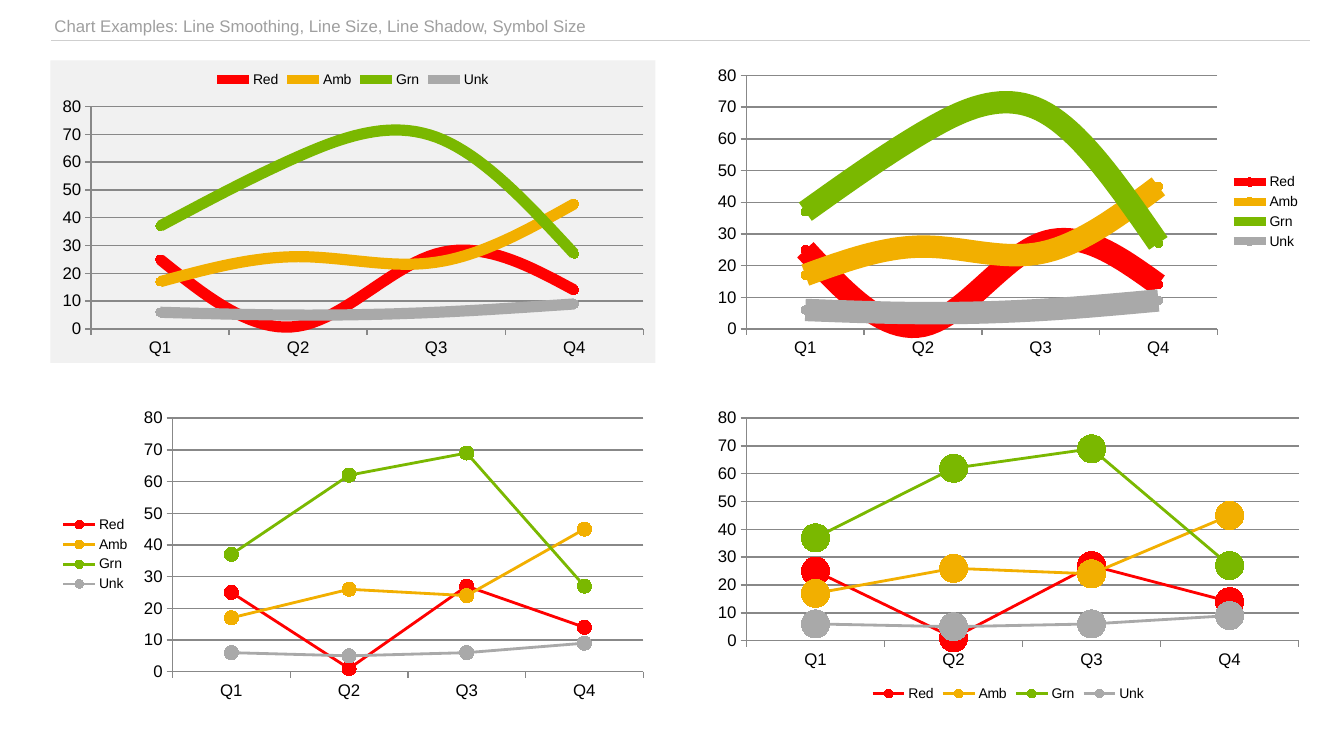
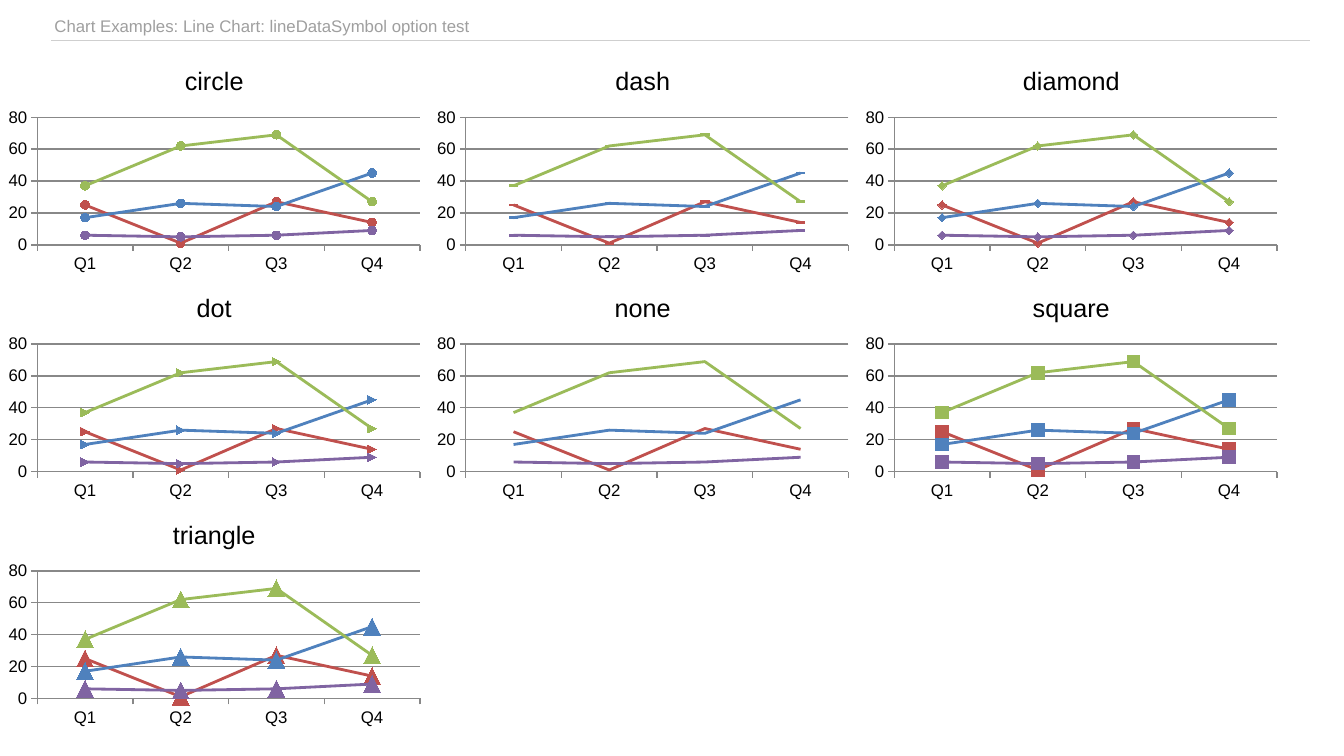
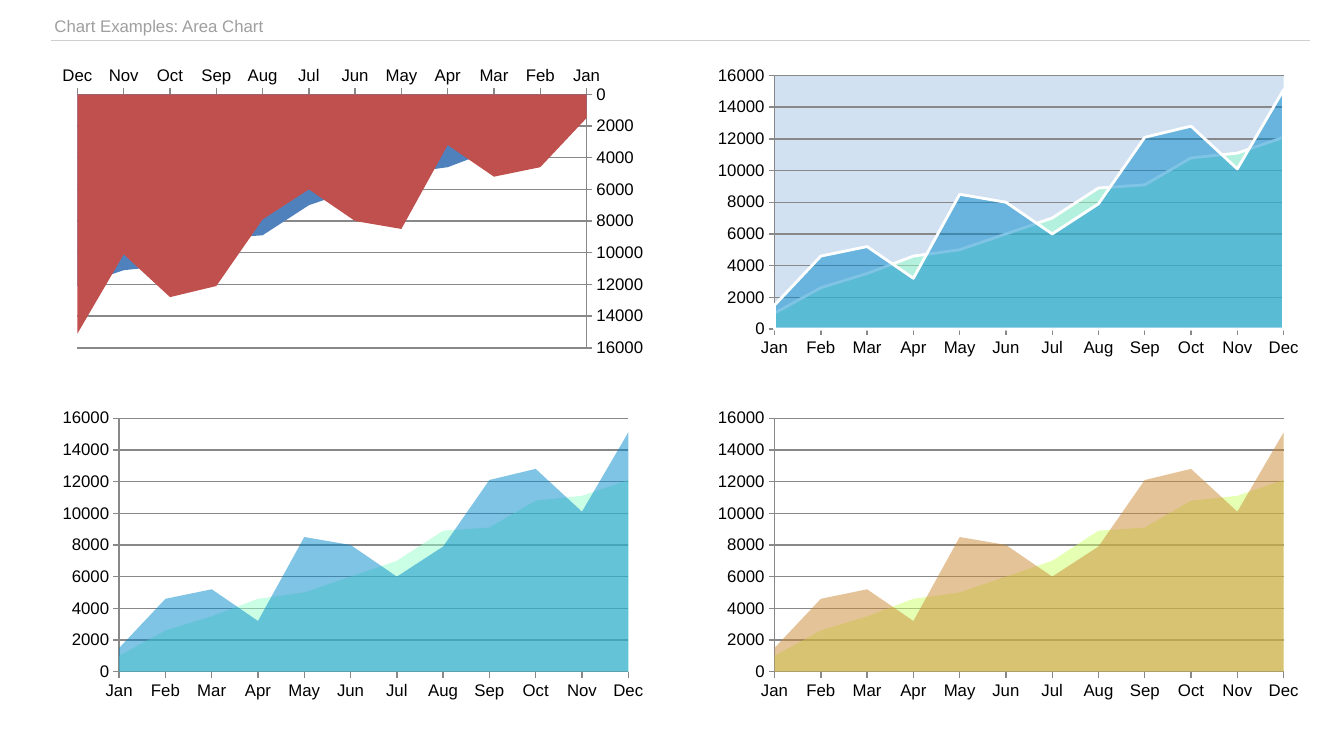
from dataclasses import dataclass

from lxml import etree
from pptx import Presentation
from pptx import util as u
from pptx.chart import data as cd
from pptx.dml.color import RGBColor
from pptx.enum import chart as ch, shapes
from pptx.oxml import ns, parse_xml

PX = 9144  # EMU in one px, 100 px to the inch


@dataclass(frozen=True)
class Theme:
    font: str = "Arial"
    ink: str = "000000"
    grey: str = "9F9F9F"
    rule: str = "CFCFCF"
    axis: str = "888888"
    panel: str = "F1F1F1"
    plot: str = "D1E1F1"
    white: str = "FFFFFF"
    status: tuple = ("FF0000", "F2AF00", "7AB800", "A9A9A9")
    office: tuple = ("C0504D", "4F81BD", "9BBB59", "8064A2")
    sea: tuple = ("0088CC", "99FFCC")
    sand: tuple = ("CC8833", "CCFF69")
    small: int = 10
    body: int = 12
    title: int = 18


T = Theme()
KIND = ch.XL_CHART_TYPE
MARK = ch.XL_MARKER_STYLE
SIDE = ch.XL_LEGEND_POSITION

QUARTERS = ["Q1", "Q2", "Q3", "Q4"]
COUNTS = [[25, 1, 27, 14], [17, 26, 24, 45], [37, 62, 69, 27], [6, 5, 6, 9]]
STATES = ["Red", "Amb", "Grn", "Unk"]
MONTHS = "Jan Feb Mar Apr May Jun Jul Aug Sep Oct Nov Dec".split()
SALES = [
    [1500, 4600, 5200, 3200, 8500, 8000, 6000, 7900, 12100, 12800, 10100, 15100],
    [1000, 2600, 3500, 4600, 5000, 6000, 7000, 8900, 9100, 10800, 11100, 12100],
]


# Shared helpers
def put(obj, **vals):
    for name, val in vals.items():
        setattr(obj, name, val)


def emu(box):
    return [v * PX for v in box]


def rgb(tint):
    return RGBColor.from_string(tint)


def style(font, size, tint=T.ink):
    put(font, name=T.font, size=u.Pt(size), bold=False)
    font.color.rgb = rgb(tint)


def paint(fill, tint):
    fill.solid()
    fill.fore_color.rgb = rgb(tint)


def stroke(line, tint, width=1):
    line.width = u.Pt(width)
    paint(line.fill, tint)


def grid(first, step, cols, count):
    """Boxes the size of the first one, set out in rows."""
    left, top, wide, high = first
    return [(left + i % cols * step[0], top + i // cols * step[1], wide, high)
            for i in range(count)]


QUADS = grid((50, 60, 600, 300), (650, 340), 2, 4)


def header(slide, box, words):
    """Grey heading with a rule below it."""
    frame = slide.shapes.add_table(1, 1, *emu(box))
    put(frame.table, first_row=False, horz_banding=False)
    cell = frame.table.cell(0, 0)
    pad = 4 * PX
    put(cell, text=words, margin_left=pad, margin_right=pad,
        margin_top=pad, margin_bottom=pad)
    style(cell.text_frame.paragraphs[0].runs[0].font, T.body, T.grey)
    # Bottom border precedes the fill
    edge = etree.SubElement(cell._tc.get_or_add_tcPr(), ns.qn("a:lnB"), w="12700")
    fill = etree.SubElement(edge, ns.qn("a:solidFill"))
    etree.SubElement(fill, ns.qn("a:srgbClr"), val=T.rule)
    cell.fill.background()


def plot(slide, box, kind, cats, rows, names=None):
    """Chart with the common axes and type."""
    data = cd.CategoryChartData()
    data.categories = cats
    for i, row in enumerate(rows):
        data.add_series(names[i] if names else f"Series {i + 1}", row)
    chart = slide.shapes.add_chart(kind, *emu(box), data).chart
    put(chart, has_legend=False, has_title=False)
    style(chart.font, T.small)
    chart.plots[0].vary_by_categories = False
    for axis in (chart.category_axis, chart.value_axis):
        put(axis, major_tick_mark=ch.XL_TICK_MARK.OUTSIDE,
            minor_tick_mark=ch.XL_TICK_MARK.NONE)
        style(axis.tick_labels.font, T.body)
        stroke(axis.format.line, T.axis)
    chart.category_axis.tick_label_position = ch.XL_TICK_LABEL_POSITION.LOW
    chart.value_axis.has_major_gridlines = True
    stroke(chart.value_axis.major_gridlines.format.line, T.axis)
    return chart


def lines(slide, box, tints, mark=MARK.CIRCLE, size=6, width=2, smooth=False,
          names=None, side=None, title=None):
    """Line chart with an optional legend and title."""
    kind = KIND.LINE_MARKERS if mark else KIND.LINE
    chart = plot(slide, box, kind, QUARTERS, COUNTS, names)
    for row, tint in zip(chart.plots[0].series, tints):
        row.smooth = smooth
        stroke(row.format.line, tint, width)
        if mark:
            put(row.marker, style=mark, size=size)
            paint(row.marker.format.fill, tint)
            stroke(row.marker.format.line, tint)
    if side:
        chart.has_legend = True
        put(chart.legend, position=side, include_in_layout=False)
        style(chart.legend.font, T.small)
    if title:
        chart.has_title = True
        text = chart.chart_title.text_frame
        text.text = title
        style(text.paragraphs[0].runs[0].font, T.title)


def area(slide, box, tints, alpha=None, edge=None, back=None, flip=False):
    """Area chart, see-through or reversed on request."""
    chart = plot(slide, box, KIND.AREA, MONTHS, SALES)
    for row, tint in zip(chart.plots[0].series, tints):
        paint(row.format.fill, tint)
        if alpha:
            for node in row.format.element.xpath("c:spPr/a:solidFill/a:srgbClr") \
                    if hasattr(row.format, "element") else \
                    row._element.xpath("c:spPr/a:solidFill/a:srgbClr"):
                etree.SubElement(node, ns.qn("a:alpha"), val=str(alpha * 1000))
        if edge:
            stroke(row.format.line, edge, 2)
        else:
            row.format.line.fill.background()
    for axis in (chart.category_axis, chart.value_axis):
        axis.reverse_order = flip
    if back:
        chart.element.xpath("c:chart/c:plotArea")[0].append(parse_xml(
            f'<c:spPr {ns.nsdecls("c", "a")}><a:solidFill>'
            f'<a:srgbClr val="{back}"/></a:solidFill></c:spPr>'))


# Slides
def sizes(slide):
    panel = slide.shapes.add_shape(shapes.MSO_SHAPE.RECTANGLE, *emu(QUADS[0]))
    panel.shadow.inherit = False
    paint(panel.fill, T.panel)
    panel.line.fill.background()
    looks = [
        dict(side=SIDE.TOP, width=8, smooth=True),
        dict(side=SIDE.RIGHT, width=16, smooth=True),
        dict(side=SIDE.LEFT, size=10),
        dict(side=SIDE.BOTTOM, size=20),
    ]
    for box, look in zip(QUADS, looks):
        lines(slide, box, T.status, names=STATES, **look)


def marks(slide):
    looks = [
        ("circle", MARK.CIRCLE, 6), ("dash", MARK.DASH, 6),
        ("diamond", MARK.DIAMOND, 6), ("dot", MARK.DOT, 6),
        ("none", None, 6), ("square", MARK.SQUARE, 9),
        ("triangle", MARK.TRIANGLE, 12),
    ]
    boxes = grid((0, 50, 425, 225), (425, 225), 3, len(looks))
    for box, (title, mark, size) in zip(boxes, looks):
        lines(slide, box, T.office, mark, size, title=title)


def areas(slide):
    looks = [
        dict(tints=T.office, flip=True),
        dict(tints=T.sea, alpha=50, edge=T.white, back=T.plot),
        dict(tints=T.sea, alpha=50),
        dict(tints=T.sand, alpha=50),
    ]
    for box, look in zip(QUADS, looks):
        area(slide, box, **look)


def main():
    deck = Presentation()
    put(deck, slide_width=1333 * PX, slide_height=750 * PX)
    pages = [
        ("Line Smoothing, Line Size, Line Shadow, Symbol Size", sizes),
        ("Line Chart: lineDataSymbol option test", marks),
        ("Area Chart", areas),
    ]
    for topic, fill in pages:
        slide = deck.slides.add_slide(deck.slide_layouts[6])
        header(slide, (50, 13, 1250, 27), f"Chart Examples: {topic}")
        fill(slide)
    deck.save("out.pptx")


if __name__ == "__main__":
    main()
